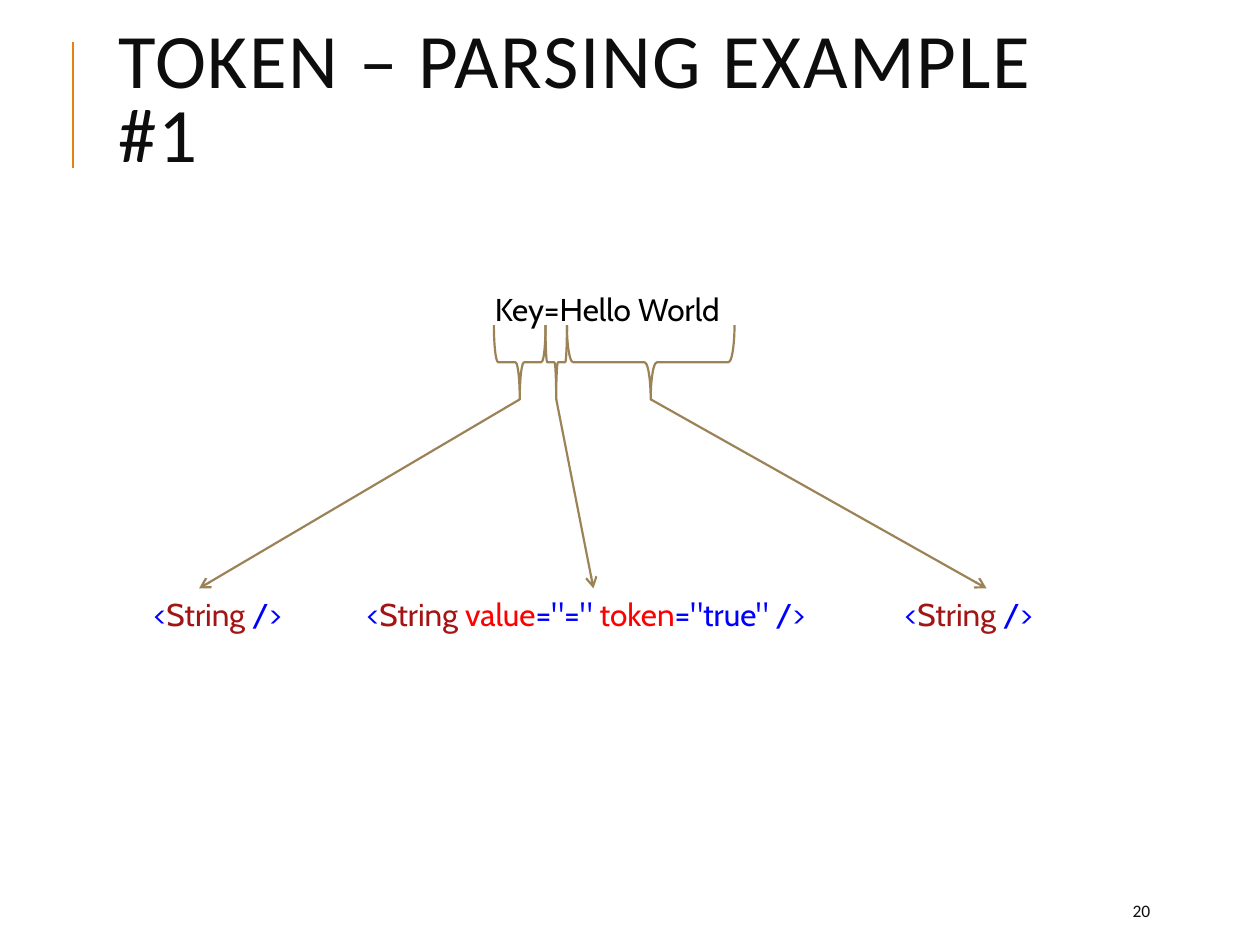
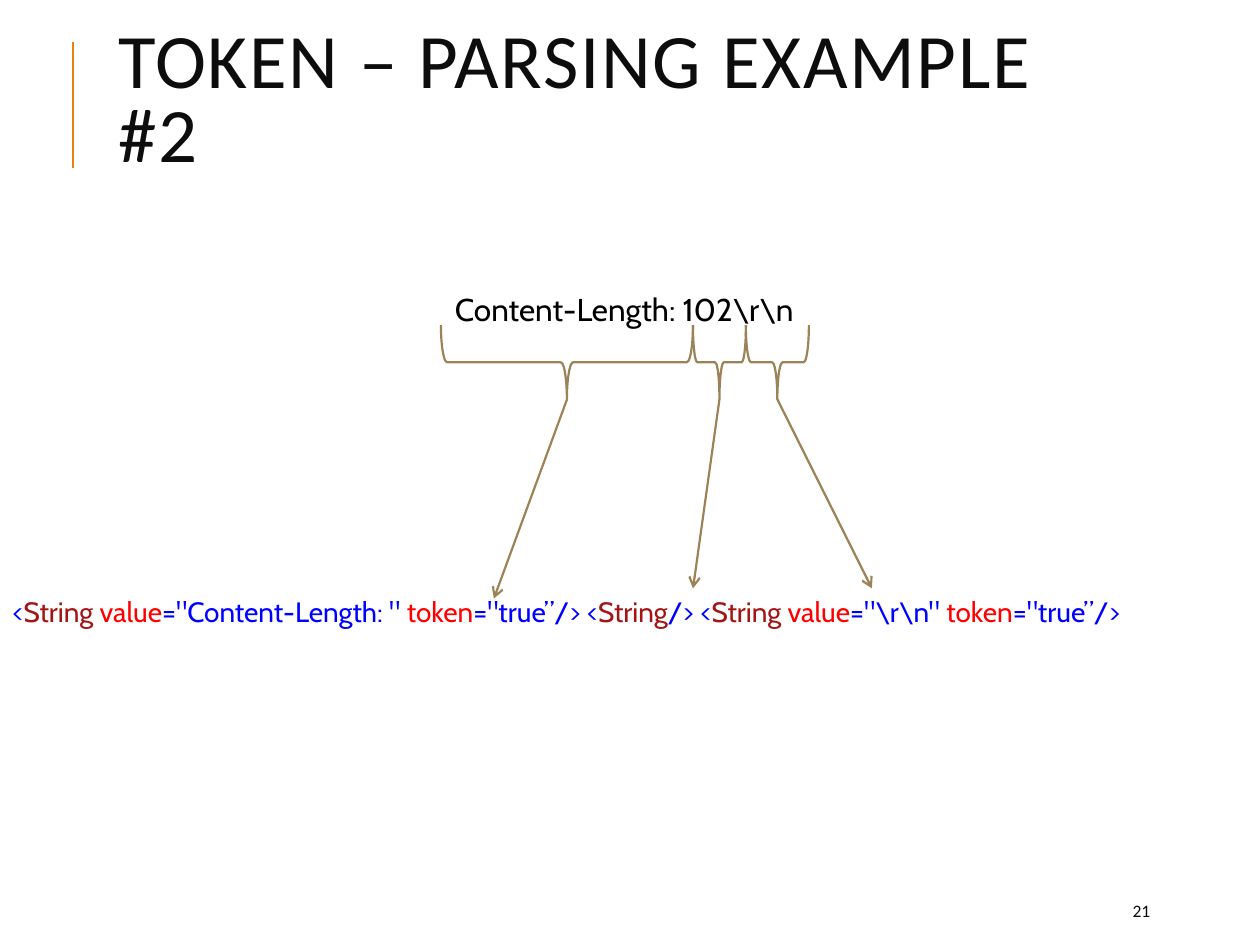
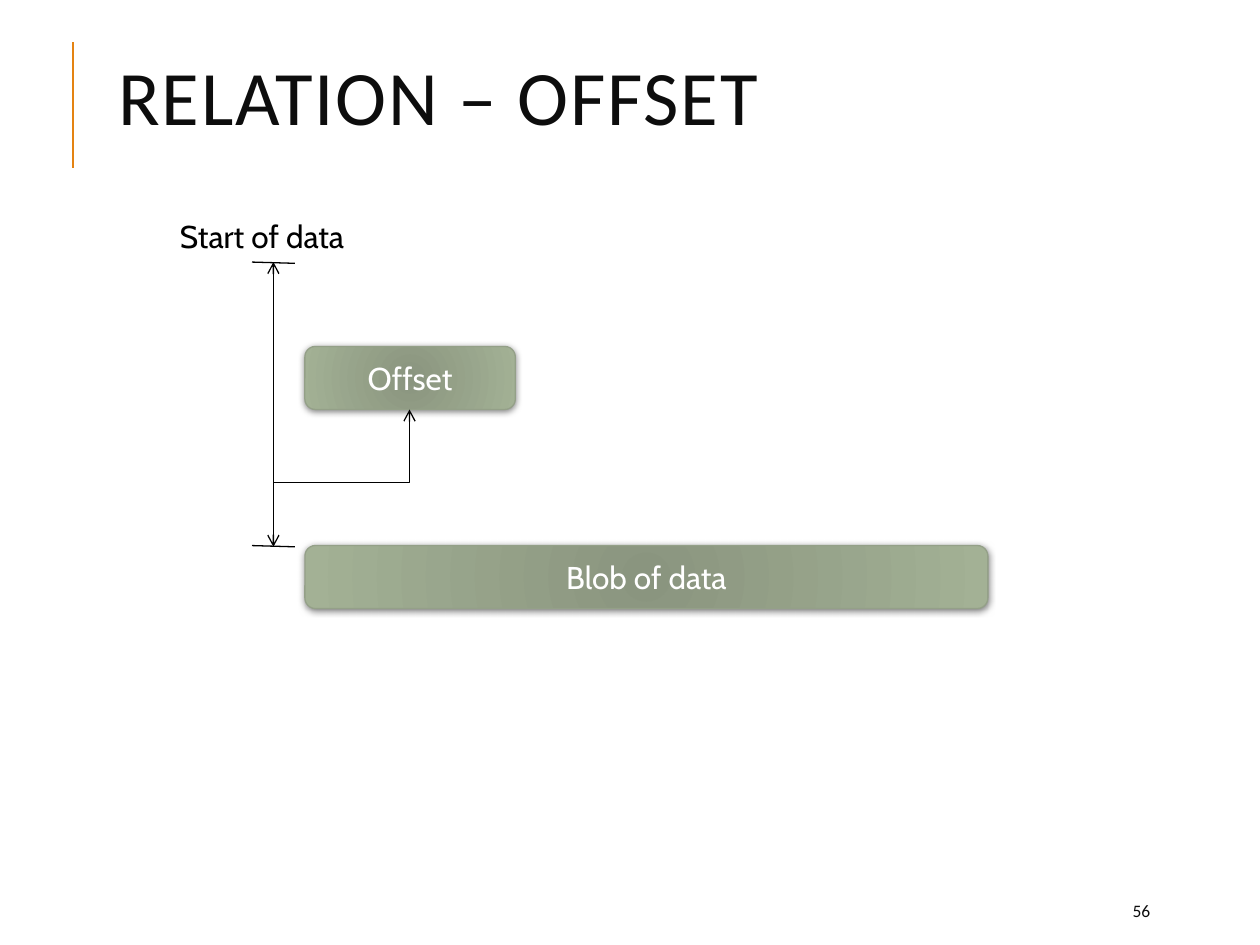
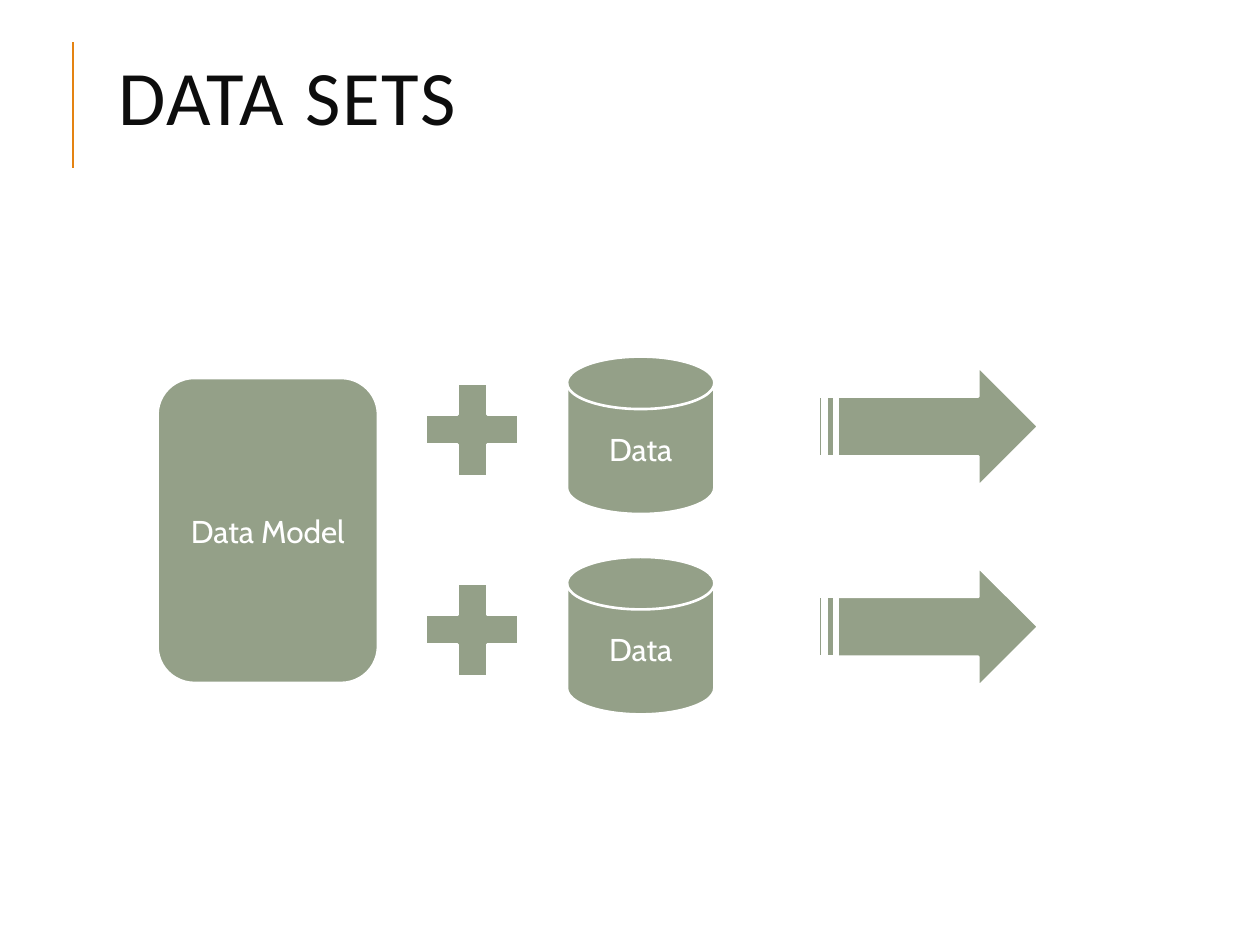
"""Build four slides on token parsing, offset relations and data sets."""
import pptx
import pptx.dml.color
import pptx.enum.shapes
import pptx.enum.text
import pptx.oxml
import pptx.oxml.ns
import pptx.util

Inches = pptx.util.Inches
Pt = pptx.util.Pt
RGB = pptx.dml.color.RGBColor.from_string
SHAPE = pptx.enum.shapes.MSO_SHAPE
CONNECTOR = pptx.enum.shapes.MSO_CONNECTOR
ALIGN = pptx.enum.text.PP_ALIGN
MIDDLE = pptx.enum.text.MSO_ANCHOR.MIDDLE
GROW = pptx.enum.text.MSO_AUTO_SIZE.SHAPE_TO_FIT_TEXT
qn = pptx.oxml.ns.qn

COLORS = {
    "accent": "E48312", "title": "0D0D0D", "text": "000000", "white": "FFFFFF",
    "brace": "9B8357", "sage": "94A088", "sage_dark": "8A957F", "sage_light": "A3B195",
    "mark": "0000FF", "tag": "A31515", "attr": "FF0000",
}
HEADING_FONT, BODY_FONT = "Calibri", "Cabin"


def write(frame, runs, size=18, font=BODY_FONT, align=ALIGN.LEFT, anchor=None, wrap=True):
    """Fill a text frame with one paragraph of (text, colour) runs."""
    frame.word_wrap = wrap
    if anchor is not None:
        frame.vertical_anchor = anchor
    paragraph = frame.paragraphs[0]
    paragraph.alignment = align
    for text, color in runs:
        run = paragraph.add_run()
        run.text = text
        run.font.size = Pt(size)
        run.font.name = font
        run.font.color.rgb = RGB(COLORS[color])
    return paragraph


def draw_line(slide, start, end, color, width, arrows=(), kind=CONNECTOR.STRAIGHT):
    """Draw a connector with open arrowheads at the named ends."""
    line = slide.shapes.add_connector(kind, *(Inches(v) for v in (*start, *end)))
    line.line.color.rgb = RGB(COLORS[color])
    line.line.width = Pt(width)
    properties = line._element.spPr
    for arrow in arrows:
        pptx.oxml.ns.qn("a:ln")
        head = properties.find(qn("a:ln")).makeelement(qn(f"a:{arrow}"), {"type": "arrow"})
        properties.find(qn("a:ln")).append(head)
    properties.append(properties.makeelement(qn("a:effectLst"), {}))
    return line


deck = pptx.Presentation()
deck.slide_width, deck.slide_height = Inches(10), Inches(7.5)

slides = []
for title, number in (
    ("TOKEN – PARSING EXAMPLE #1", "20"),
    ("TOKEN – PARSING EXAMPLE #2", "21"),
    ("RELATION – OFFSET", "56"),
    ("DATA SETS", None),
):
    slide = deck.slides.add_slide(deck.slide_layouts[6])
    slides.append(slide)
    draw_line(slide, (0.58, 1.33), (0.58, 0.33), "accent", 1.5)
    heading = slide.shapes.add_textbox(Inches(0.84), 0, Inches(7.97), Inches(1.64))
    paragraph = write(heading.text_frame, [(title, "title")], 44, HEADING_FONT, anchor=MIDDLE)
    paragraph.line_spacing = 0.8
    paragraph.runs[0].font._element.set("spc", "100")
    if number:
        footer = slide.shapes.add_textbox(Inches(8.89), Inches(7.08), Inches(0.8), Inches(0.3))
        write(footer.text_frame, [(number, "title")], 10, HEADING_FONT, anchor=MIDDLE)

BRACE_TOP, BRACE_TIP = 2.58, 3.17
examples = [
    {
        "input": "Key=Hello World", "input_box": (3.83, 2.25), "align": ALIGN.LEFT,
        "edges": (3.92, 4.33, 4.5, 5.83),
        "targets": ((1.58, 4.67), (4.71, 4.67), (7.83, 4.67)),
        "code_box": (0.5, 8.42, 0.4), "size": 18, "inset": 0.72, "tabs": (1.69, 5.96),
        "code": [
            ("<", "mark"), ("String", "tag"), (" />\t<", "mark"), ("String ", "tag"),
            ("value", "attr"), ('="=" ', "mark"), ("token", "attr"),
            ('="true" />\t<', "mark"), ("String", "tag"), (" />", "mark"),
        ],
    },
    {
        "input": r"Content-Length: 102\r\n", "input_box": (3.33, 3.25), "align": ALIGN.CENTER,
        "edges": (3.5, 5.5, 5.92, 6.42),
        "targets": ((3.92, 4.75), (5.5, 4.67), (6.92, 4.67)),
        "code_box": (0, 10, 0.37), "size": 16, "inset": 0.1, "tabs": (),
        "code": [
            ("<", "mark"), ("String ", "tag"), ("value", "attr"),
            ('="Content-Length: " ', "mark"), ("token", "attr"), ('="true”/> <', "mark"),
            ("String", "tag"), ("/> <", "mark"), ("String ", "tag"), ("value", "attr"),
            (r'="\r\n" ', "mark"), ("token", "attr"), ('="true”/>', "mark"),
        ],
    },
]
for slide, example in zip(slides, examples):
    left, width = example["input_box"]
    source = slide.shapes.add_textbox(Inches(left), Inches(2.25), Inches(width), Inches(0.4))
    write(source.text_frame, [(example["input"], "text")], align=example["align"])
    source.text_frame.auto_size = GROW

    left, width, height = example["code_box"]
    code = slide.shapes.add_textbox(Inches(left), Inches(4.67), Inches(width), Inches(height))
    code.text_frame.margin_left = Inches(example["inset"])
    paragraph = write(code.text_frame, example["code"], example["size"])
    code.text_frame.auto_size = GROW
    if example["tabs"]:
        settings = paragraph._p.get_or_add_pPr()
        stops = settings.makeelement(qn("a:tabLst"), {})
        settings.append(stops)
        for stop in example["tabs"]:
            stops.append(stops.makeelement(qn("a:tab"), {"pos": str(Inches(stop)), "algn": "l"}))

    edges = example["edges"]
    depth = BRACE_TIP - BRACE_TOP
    for start, end in zip(edges, edges[1:]):
        span = end - start
        brace = slide.shapes.add_shape(
            SHAPE.LEFT_BRACE,
            Inches((start + end - depth) / 2), Inches((BRACE_TOP + BRACE_TIP - span) / 2),
            Inches(depth), Inches(span))
        brace.rotation = 270
        brace.shadow.inherit = False
        brace.fill.background()
        brace.line.color.rgb = RGB(COLORS["brace"])
        brace.line.width = Pt(1.25)
    for start, end, target in zip(edges, edges[1:], example["targets"]):
        draw_line(slide, ((start + end) / 2, BRACE_TIP), target, "brace", 1.25, ["tailEnd"])

relation = slides[2]
for label, top, width in (("Offset", 2.75, 1.67), ("Blob of data", 4.33, 5.42)):
    block = relation.shapes.add_shape(
        SHAPE.ROUNDED_RECTANGLE, Inches(2.42), Inches(top), Inches(width), Inches(0.5))
    block.fill.gradient()
    for stop, color in zip(block.fill.gradient_stops, ("sage_dark", "sage_light")):
        stop.color.rgb = RGB(COLORS[color])
    properties = block._element.spPr
    gradient = properties.find(qn("a:gradFill"))
    gradient.replace(gradient.find(qn("a:lin")), pptx.oxml.parse_xml(
        f'<a:path {pptx.oxml.ns.nsdecls("a")} path="circle">'
        '<a:fillToRect l="100000" t="100000" r="100000" b="100000"/></a:path>'))
    block.line.color.rgb = RGB(COLORS["sage"])
    block.line.width = Pt(0.75)
    block.shadow.inherit = False
    properties.find(qn("a:effectLst")).append(pptx.oxml.parse_xml(
        f'<a:outerShdw {pptx.oxml.ns.nsdecls("a")} blurRad="{Pt(4)}" dist="{Pt(1)}" '
        f'dir="5400000" rotWithShape="0"><a:srgbClr val="{COLORS["text"]}">'
        '<a:alpha val="50000"/></a:srgbClr></a:outerShdw>'))
    write(block.text_frame, [(label, "white")], align=ALIGN.CENTER, anchor=MIDDLE)

draw_line(relation, (2.17, 4.34), (2.17, 2.08), "text", 0.75, ["headEnd", "tailEnd"])
for level in (2.08, 4.33):
    draw_line(relation, (2.34, level + 0.01), (2, level), "text", 0.75)
offset_link = draw_line(
    relation, (2.42, 3), (3, 4.08), "text", 0.75, ["headEnd"], CONNECTOR.ELBOW)
offset_link._element.spPr.find(qn("a:xfrm")).set("rot", "5400000")
offset_link._element.spPr.find(qn("a:prstGeom")).set("prst", "bentConnector2")
data_start = relation.shapes.add_textbox(Inches(1.33), Inches(1.67), Inches(1.58), Inches(0.4))
write(data_start.text_frame, [("Start of data", "text")], wrap=False)
data_start.text_frame.auto_size = GROW

parts = [(SHAPE.ROUNDED_RECTANGLE, 1.25, 3, 1.75, 2.42, "Data Model")]
for row_top in (2.83, 4.42):
    parts += [
        (SHAPE.FLOWCHART_MAGNETIC_DISK, 4.5, row_top, 1.17, 1.25, "Data"),
        (SHAPE.MATH_PLUS, 3.25, row_top + 0.08, 1, 1, None),
        (SHAPE.STRIPED_RIGHT_ARROW, 6.5, row_top + 0.08, 1.74, 0.95, None),
    ]
for preset, left, top, width, height, label in parts:
    part = slides[3].shapes.add_shape(
        preset, Inches(left), Inches(top), Inches(width), Inches(height))
    part.shadow.inherit = False
    part.fill.solid()
    part.fill.fore_color.rgb = RGB(COLORS["sage"])
    part.line.color.rgb = RGB(COLORS["white"])
    part.line.width = Pt(1.5)
    if label:
        write(part.text_frame, [(label, "white")], align=ALIGN.CENTER, anchor=MIDDLE)

deck.save("out.pptx")
